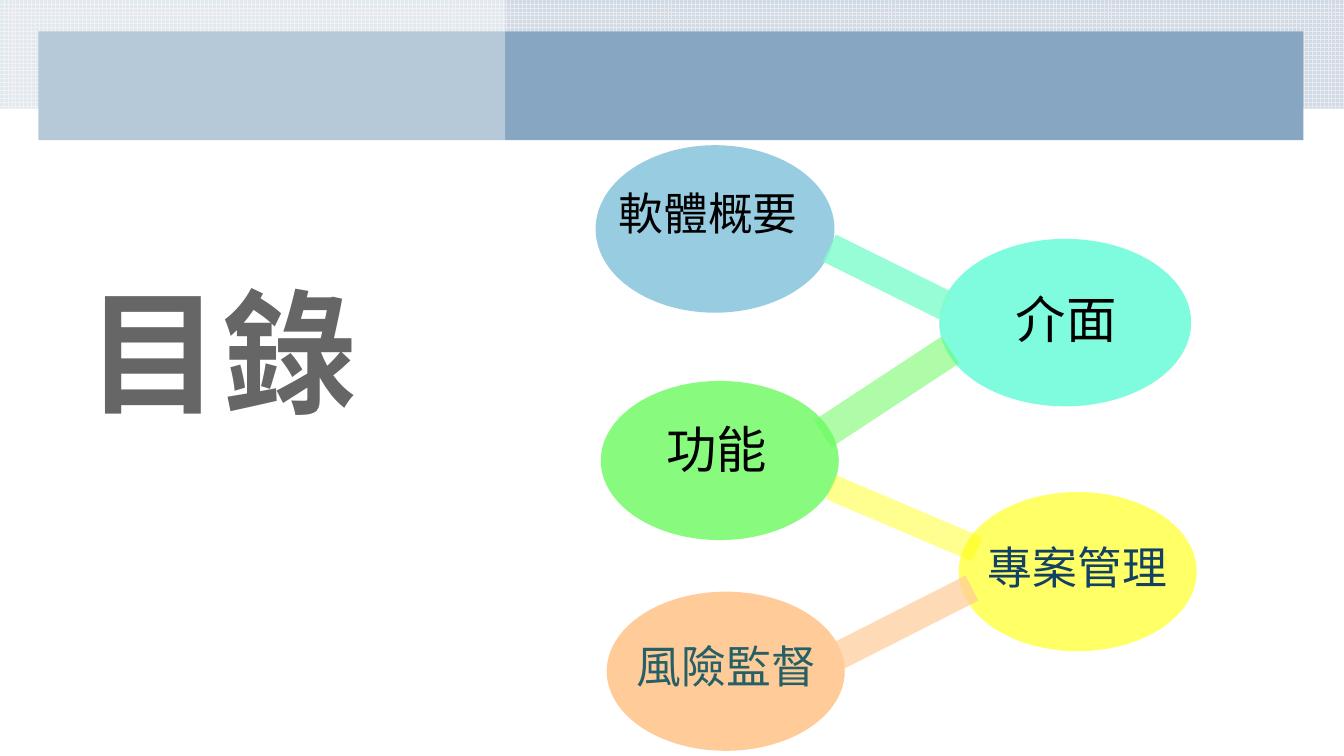
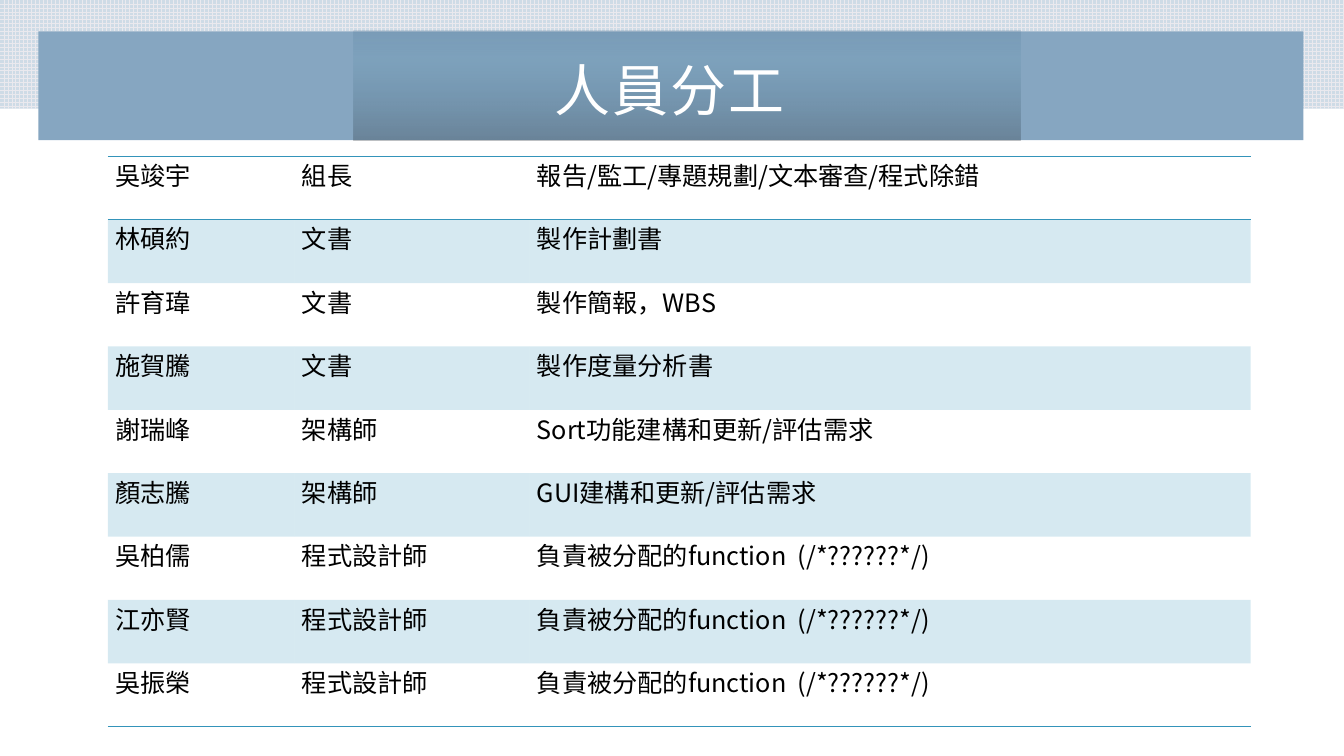
from dataclasses import dataclass

from lxml.etree import SubElement
from pptx import Presentation
from pptx.dml.color import RGBColor
from pptx.enum.dml import MSO_PATTERN
from pptx.enum.shapes import MSO_SHAPE as Geo
from pptx.enum.text import MSO_ANCHOR as Anchor, PP_ALIGN as Align
from pptx.oxml import parse_xml
from pptx.oxml.ns import nsdecls, qn
from pptx.util import Cm, Pt


@dataclass(frozen=True)
class Theme:
    """Colours, fonts and type sizes shared by the slides."""
    grid_fore: str = "EAE9EE"
    grid_back: str = "CEDBE6"
    bar: str = "86A6C1"
    ink: str = "000000"
    paper: str = "FFFFFF"
    accent: str = "3494BA"
    navy: str = "134163"
    teal: str = "266066"
    heading_font: str = "Noto Sans CJK JP"
    body_font: str = "Noto Sans CJK SC"
    contents_size: int = 96
    title_size: int = 40
    node_size: int = 32
    short_node_size: int = 36
    table_size: int = 18
    tracking: int = 150
    leading: float = 0.9


@dataclass(frozen=True)
class Box:
    """A rectangle in centimetres."""
    left: float
    top: float
    width: float
    height: float

    def inner(self, dx, dy, width, height):
        """Return a box offset from this one's corner."""
        return Box(self.left + dx, self.top + dy, width, height)

    def lengths(self):
        """Return left, top, width and height as lengths."""
        return Cm(self.left), Cm(self.top), Cm(self.width), Cm(self.height)


THEME = Theme()
PAGE = Box(0, 0, 33.87, 19.05)
BAND = PAGE.inner(0.97, 0.79, 31.88, 2.74)
NO_TABLE_STYLE = "{2D5ABB26-0587-4C30-8999-92F81FD0307C}"

# label, offset, oval size, label offset, fill, opacity, label size, label colour
TOPICS = [
    ("軟體概要", (0, 0), (6.02, 4.22), (0.33, 1.17),
     "7FC1DB", 81, THEME.node_size, THEME.ink),
    ("介面", (8.66, 2.36), (6.35, 4.22), (1.68, 1.42),
     "60FAD5", 80, THEME.short_node_size, THEME.ink),
    ("功能", (0.13, 5.94), (6, 4.01), (1.4, 1.12),
     "6BFA60", 80, THEME.short_node_size, THEME.ink),
    ("專案管理", (9.15, 8.74), (6, 4.01), (0.48, 1.35),
     "FFFF66", 100, THEME.node_size, THEME.navy),
    ("風險監督", (0.28, 11.25), (6, 4.01), (0.51, 1.35),
     "FFCC99", 100, THEME.node_size, THEME.teal),
]
# offset and size, rotation, fill, opacity
LINKS = [
    ((5.72, 2.94, 3.28, 0.76), 26.3, "7FFDCD", 81),
    ((5.41, 5.81, 3.84, 0.81), 146.7, "6BFA60", 54),
    ((5.77, 9.07, 4.01, 0.66), 203.1, "FFFF00", 44),
    ((5.69, 11.71, 4.01, 0.71), 153.1, "FFCC99", 71),
]
CODING_DUTY = "負責被分配的function  (/*??????*/)"
DUTIES = [
    ("吳竣宇", "組長", "報告/監工/專題規劃/文本審查/程式除錯"),
    ("林碩約", "文書", "製作計劃書"),
    ("許育瑋", "文書", "製作簡報\uff0cWBS"),
    ("施賀騰", "文書", "製作度量分析書"),
    ("謝瑞峰", "架構師", "Sort功能建構和更新/評估需求"),
    ("顏志騰", "架構師", "GUI建構和更新/評估需求"),
    ("吳柏儒", "程式設計師", CODING_DUTY),
    ("江亦賢", "程式設計師", CODING_DUTY),
    ("吳振榮", "程式設計師", CODING_DUTY),
]
DUTY_COLUMNS = (4.7, 5.92, 18.18)


def paint(fill, colour, opacity=100):
    """Set a solid fill with an opacity in percent."""
    fill.solid()
    fill.fore_color.rgb = RGBColor.from_string(colour)
    if opacity < 100:
        tint = fill._xPr.find(qn("a:solidFill"))[0]
        SubElement(tint, qn("a:alpha"), val=str(opacity * 1000))


def add_form(slide, box, geometry=Geo.RECTANGLE, colour=None, opacity=100):
    """Add a preset shape without outline or shadow."""
    form = slide.shapes.add_shape(geometry, *box.lengths())
    form.shadow.inherit = False
    form.line.fill.background()
    if colour:
        paint(form.fill, colour, opacity)
    return form


def style(paragraph, size, colour, font=THEME.body_font, bold=False, tracking=0):
    """Set the type of a whole paragraph, for Latin and East Asian text."""
    paragraph.font.size = Pt(size)
    paragraph.font.bold = bold
    paragraph.font.color.rgb = RGBColor.from_string(colour)
    paragraph.font.name = font
    defaults = paragraph._p.pPr.find(qn("a:defRPr"))
    SubElement(defaults, qn("a:ea"), typeface=font)
    if tracking:
        defaults.set("spc", str(tracking))


def add_label(slide, box, text, before=0, inset_top=0.0, **type_style):
    """Add a one-paragraph text box and return its frame."""
    frame = slide.shapes.add_textbox(*box.lengths()).text_frame
    frame.word_wrap = True
    frame.margin_top = Cm(inset_top)
    paragraph = frame.paragraphs[0]
    paragraph.text = text
    paragraph.line_spacing = THEME.leading
    paragraph.space_before = Pt(before)
    style(paragraph, **type_style)
    return frame


def add_backdrop(slide, box):
    """Draw the grid strip and the bar across the top of the page."""
    strip = add_form(slide, box.inner(0, 0, box.width, BAND.height))
    strip.fill.patterned()
    strip.fill.pattern = MSO_PATTERN.LARGE_GRID
    strip.fill.fore_color.rgb = RGBColor.from_string(THEME.grid_fore)
    strip.fill.back_color.rgb = RGBColor.from_string(THEME.grid_back)
    add_form(slide, BAND, colour=THEME.bar)


def add_contents_heading(slide, box):
    """Write the heading and lay the pale veil over the left side."""
    add_label(slide, box.inner(1.93, 7.11, 10.21, 4.83), "目錄", before=15,
              inset_top=0.13, size=THEME.contents_size, colour=THEME.ink,
              font=THEME.heading_font, bold=True, tracking=THEME.tracking)
    add_form(slide, box, colour=THEME.paper, opacity=40)


def add_topic_chain(slide, box):
    """Draw the topic ovals and the bars that link them."""
    for topic, offset, oval_size, label_offset, colour, opacity, size, ink in TOPICS:
        oval = box.inner(*offset, *oval_size)
        add_form(slide, oval, Geo.OVAL, colour, opacity)
        add_label(slide, oval.inner(*label_offset, 6, 2), topic, before=18,
                  size=size, colour=ink)
    for place, rotation, colour, opacity in LINKS:
        link = add_form(slide, box.inner(*place), colour=colour, opacity=opacity)
        link.rotation = rotation


def add_title_panel(slide, box, title):
    """Draw the shaded panel with the slide title."""
    panel = add_form(slide, box)
    stops = "".join(
        f'<a:gs pos="{place * 1000}"><a:srgbClr val="{colour}">'
        f'<a:alpha val="{opacity * 1000}"/></a:srgbClr></a:gs>'
        for place, colour, opacity in
        ((0, "4A7090", 19), (25, "276F8B", 8), (100, THEME.ink, 21)))
    shading = parse_xml(f'<a:gradFill {nsdecls("a")} rotWithShape="1">'
                        f'<a:gsLst>{stops}</a:gsLst>'
                        '<a:lin ang="5400000" scaled="0"/></a:gradFill>')
    panel._element.spPr.find(qn("a:prstGeom")).addnext(shading)
    frame = add_label(slide, box.inner(4.21, -0.23, 7.49, 3.61), title,
                      inset_top=0.3, size=THEME.title_size,
                      colour=THEME.paper, tracking=THEME.tracking)
    frame.vertical_anchor = Anchor.MIDDLE
    frame.margin_left = frame.margin_right = Cm(0.3)
    frame.margin_bottom = Cm(0.25)
    frame.paragraphs[0].alignment = Align.CENTER


def rule_cell(cell, edges):
    """Draw one-point rules on the given edges of a cell."""
    for edge in edges:
        cell._tc.get_or_add_tcPr().append(parse_xml(
            f'<a:{edge} {nsdecls("a")} w="12700"><a:solidFill>'
            f'<a:srgbClr val="{THEME.accent}"/></a:solidFill></a:{edge}>'))


def add_duty_table(slide, box):
    """Tabulate members, roles and duties in alternating bands."""
    table = slide.shapes.add_table(len(DUTIES), len(DUTY_COLUMNS),
                                   *box.lengths()).table
    table.first_row = table.horz_banding = False
    table._tbl.tblPr.find(qn("a:tableStyleId")).text = NO_TABLE_STYLE
    for column, width in zip(table.columns, DUTY_COLUMNS):
        column.width = Cm(width)
    edges = {0: ("lnT", "lnB"), len(DUTIES) - 1: ("lnB",)}
    for row, duty in enumerate(DUTIES):
        for column, entry in enumerate(duty):
            cell = table.cell(row, column)
            cell.margin_left = cell.margin_right = Cm(0.19)
            cell.margin_top = cell.margin_bottom = 0
            rule_cell(cell, edges.get(row, ()))
            if row % 2:
                paint(cell.fill, THEME.accent, 20)
            else:
                cell.fill.background()
            paragraph = cell.text_frame.paragraphs[0]
            paragraph.text = entry
            style(paragraph, THEME.table_size, THEME.ink)
            if column == len(duty) - 1:
                paragraph.alignment = Align.JUSTIFY


def build_contents(slide, box):
    """Compose the contents slide."""
    add_backdrop(slide, box)
    add_contents_heading(slide, box.inner(0, 0, 12.73, 18.97))
    add_topic_chain(slide, box.inner(15.01, 3.66, 15.15, 15.26))


def build_duties(slide, box):
    """Compose the division of work slide."""
    add_backdrop(slide, box)
    add_duty_table(slide, box.inner(2.72, 3.94, sum(DUTY_COLUMNS), 14.38))
    add_title_panel(slide, box.inner(8.92, 0.76, 16.79, 2.77), "人員分工")


def main():
    """Build and save the presentation."""
    deck = Presentation()
    deck.slide_width, deck.slide_height = Cm(PAGE.width), Cm(PAGE.height)
    for build in (build_contents, build_duties):
        build(deck.slides.add_slide(deck.slide_layouts[6]), PAGE)
    deck.save("out.pptx")


main()
